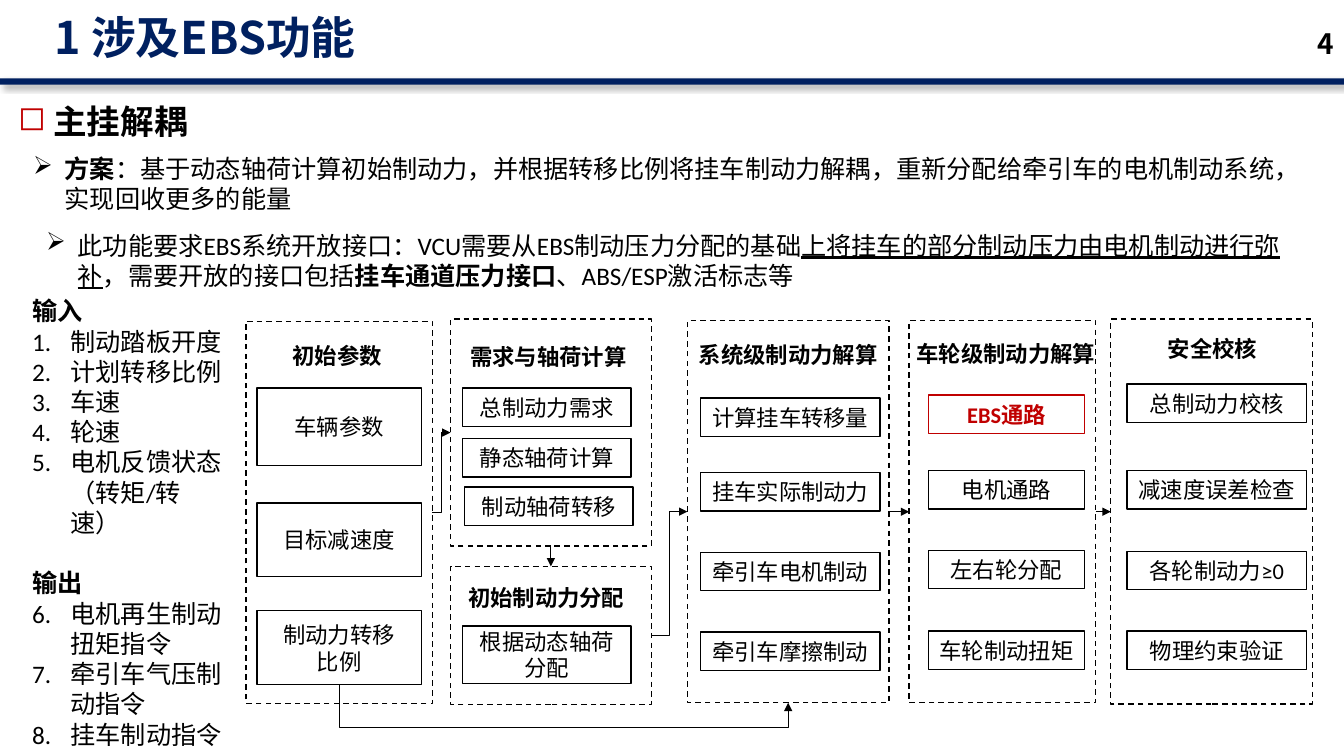
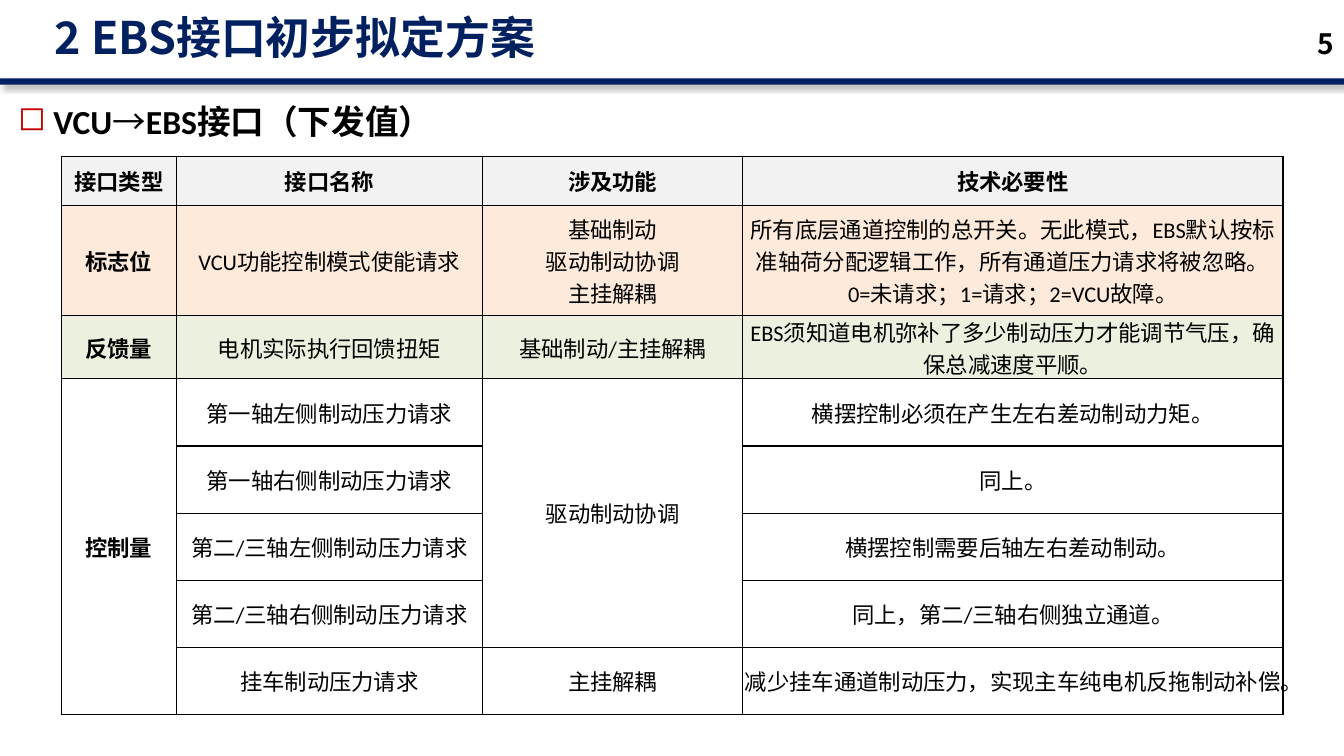
from lxml import etree
from pptx import Presentation
from pptx.dml.color import RGBColor
from pptx.enum.dml import MSO_LINE
from pptx.enum.shapes import MSO_CONNECTOR as CONN, MSO_SHAPE
from pptx.enum.text import MSO_ANCHOR as ANCHOR, MSO_AUTO_SIZE, PP_ALIGN as ALIGN
from pptx.oxml import parse_xml
from pptx.oxml.ns import nsdecls, qn
from pptx.util import Pt

COLORS = {
    "navy": "002060", "black": "000000", "red": "C00000",
    "header": "F2F2F2", "flag": "FDEADA", "feedback": "EBF1DE",
}
BODY, CJK = "Calibri", "Noto Sans CJK SC"
TOP, LEFT, BOTTOM, RIGHT = range(4)


def rgb(name):
    return RGBColor.from_string(COLORS[name])


def add_child(parent, tag, **attrs):
    el = etree.SubElement(parent, qn(tag))
    for key, value in attrs.items():
        el.set(key, str(value))
    return el


def write(p, text, size=16, bold=False, underline=False, color="black", font=BODY, ea=None):
    """Add one formatted run to a paragraph."""
    r = p.add_run()
    r.text = text
    f = r.font
    f.size, f.bold, f.name = Pt(size), bold, font
    f.underline = underline or None
    f.color.rgb = rgb(color)
    add_child(r._r.get_or_add_rPr(), "a:ea", typeface=ea or font)


def fill_text(tf, paragraphs, align=ALIGN.LEFT, spacing=None, bullet=None, **fmt):
    """Write paragraphs, each a string or a list of (text, format) runs."""
    for i, runs in enumerate(paragraphs):
        p = tf.paragraphs[0] if i == 0 else tf.add_paragraph()
        p.alignment = align
        if bullet:
            set_bullet(p, **bullet)
        if spacing:
            p.line_spacing = spacing
        for text, extra in [(runs, {})] if isinstance(runs, str) else runs:
            write(p, text, **{**fmt, **extra})


def set_bullet(p, indent, char=None, start=None, color=None):
    pPr = p._p.get_or_add_pPr()
    pPr.set("marL", str(Pt(indent)))
    pPr.set("indent", str(-Pt(indent)))
    if color:
        add_child(add_child(pPr, "a:buClr"), "a:srgbClr", val=COLORS[color])
    if char:
        add_child(pPr, "a:buChar", char=char)
    else:
        add_child(pPr, "a:buAutoNum", type="arabicPeriod", startAt=start)


class Deck:
    def __init__(self):
        self.prs = Presentation()
        self.prs.slide_width, self.prs.slide_height = Pt(960), Pt(540)

    def new_slide(self, title, number, heading):
        self.s = self.prs.slides.add_slide(self.prs.slide_layouts[5])
        self.shapes = self.s.shapes
        # Title band with its soft shadow
        band = self.rect(0, 56, 960, 4.4)
        band.fill.solid()
        band.fill.fore_color.rgb = rgb("navy")
        band.line.fill.background()
        band._element.spPr.remove(band._element.spPr.find(qn("a:effectLst")))
        band._element.spPr.append(parse_xml(
            f'<a:effectLst {nsdecls("a")}><a:outerShdw blurRad="{Pt(4)}" dist="{Pt(3)}" '
            f'dir="2700000"><a:srgbClr val="{COLORS["black"]}"><a:alpha val="40000"/>'
            '</a:srgbClr></a:outerShdw></a:effectLst>'))
        # Title, slide number and section heading
        sp = self.shapes.title
        sp.left, sp.top, sp.width, sp.height = Pt(31.7), Pt(7.2), Pt(754), Pt(42.5)
        tf = sp.text_frame
        tf.auto_size, tf.vertical_anchor = MSO_AUTO_SIZE.NONE, ANCHOR.MIDDLE
        fill_text(tf, [title], spacing=0.9, size=32, bold=True, color="navy", font=CJK)
        self.text(904.3, 16.6, 55.4, 28.8, [number], anchor=ANCHOR.MIDDLE,
                  align=ALIGN.RIGHT, size=20, bold=True, font=CJK)
        self.text(5.8, 59.8, 388, 41.8, [heading], spacing=1.3, size=24, bold=True,
                  bullet=dict(indent=25.2, char="◻", color="red"))

    def text(self, x, y, w, h, paragraphs, anchor=ANCHOR.TOP, **fmt):
        tf = self.shapes.add_textbox(Pt(x), Pt(y), Pt(w), Pt(h)).text_frame
        tf.word_wrap, tf.vertical_anchor = True, anchor
        fill_text(tf, paragraphs, **fmt)

    def rect(self, x, y, w, h, color="black", dashed=False):
        sp = self.shapes.add_shape(MSO_SHAPE.RECTANGLE, Pt(x), Pt(y), Pt(w), Pt(h))
        sp.shadow.inherit = False
        sp.fill.background()
        sp.line.color.rgb, sp.line.width = rgb(color), Pt(1)
        if dashed:
            sp.line.dash_style = MSO_LINE.DASH
        return sp

    def step(self, x, y, w, h, text, color="black", bold=False):
        sp = self.rect(x, y, w, h, color)
        tf = sp.text_frame
        tf.word_wrap, tf.vertical_anchor = True, ANCHOR.MIDDLE
        fill_text(tf, text.split("\n"), align=ALIGN.CENTER, color=color, bold=bold)
        return sp

    def panel(self, box, title, title_center):
        sp = self.rect(*box, dashed=True)
        cx, cy = title_center
        self.text(cx - 83.5, cy - 17.5, 167, 35, [title], anchor=ANCHOR.MIDDLE,
                  align=ALIGN.CENTER, bold=True)
        return sp

    def arrow(self, a, side_a, b, side_b, kind=CONN.STRAIGHT):
        c = self.shapes.add_connector(kind, 0, 0, 0, 0)
        c.begin_connect(a, side_a)
        c.end_connect(b, side_b)
        c.line.color.rgb, c.line.width = rgb("black"), Pt(0.75)
        add_child(c.line._get_or_add_ln(), "a:tailEnd", type="triangle")
        add_child(c._element.spPr, "a:effectLst")
        return c

    def arrow_below(self, a, b, drop):
        """Elbow from the bottom of a, down by drop, and up into the bottom of b."""
        c = self.arrow(a, BOTTOM, b, BOTTOM, CONN.ELBOW)
        w, h = c.width, c.height
        c.left, c.top = c.left + (w - h) // 2, c.top + (h - w) // 2
        c.width, c.height, c.rotation = h, w, 270
        spPr = c._element.spPr
        spPr.find(qn("a:xfrm")).set("flipH", "1")
        geom = spPr.find(qn("a:prstGeom"))
        guides = geom.find(qn("a:avLst"))
        if guides is None:
            guides = add_child(geom, "a:avLst")
        add_child(guides, "a:gd", name="adj1", fmla=f"val {round(Pt(drop) / h * 100000)}")

    def table(self, x, y, widths, heights, rows, fills, merges):
        t = self.shapes.add_table(len(heights), len(widths), Pt(x), Pt(y),
                                  Pt(sum(widths)), Pt(sum(heights))).table
        t.first_row = t.horz_banding = False
        for col, w in zip(t.columns, widths):
            col.width = Pt(w)
        for row, h in zip(t.rows, heights):
            row.height = Pt(h)
        for i, row in enumerate(rows):
            for j, text in enumerate(row):
                self.cell(t.cell(i, j), text, fills.get(i), bold=i == 0 or j == 0)
        for (top, bottom), j in merges:
            t.cell(top, j).merge(t.cell(bottom, j))

    def cell(self, cell, text, fill, bold):
        cell.margin_left = cell.margin_right = cell.margin_top = cell.margin_bottom = 0
        cell.vertical_anchor = ANCHOR.MIDDLE
        tcPr = cell._tc.get_or_add_tcPr()
        for side in "LRTB":
            ln = add_child(tcPr, f"a:ln{side}", w=Pt(1))
            add_child(add_child(ln, "a:solidFill"), "a:srgbClr", val=COLORS["black"])
        if fill:
            cell.fill.solid()
            cell.fill.fore_color.rgb = rgb(fill)
        else:
            cell.fill.background()
        if text:
            fill_text(cell.text_frame, text.split("\n"), align=ALIGN.CENTER, bold=bold, ea=CJK)


def decoupling_slide(d):
    d.new_slide("1 涉及EBS功能", "4", "主挂解耦")
    bold = dict(bold=True)

    # Scheme and interface requirement
    point = dict(size=18, bullet=dict(indent=22.5, char="➢"))
    d.text(16.6, 105.8, 906.5, 51, [[
        ("方案", bold),
        ("：基于动态轴荷计算初始制动力，并根据转移比例将挂车制动力解耦，"
         "重新分配给牵引车的电机制动系统，实现回收更多的能量", {})]], **point)
    d.text(25.9, 160.6, 906.5, 51, [[
        ("此功能要求EBS系统开放接口：VCU需要从EBS制动压力分配的基础", {}),
        ("上将挂车的部分制动压力由电机制动进行弥补", dict(underline=True)),
        ("，需要开放的接口包括", {}),
        ("挂车通道压力接口", bold),
        ("、ABS/ESP激活标志等", {})]], **point)

    # Numbered inputs and outputs
    for y, title, start, items in [
        (207.4, "输入", 1, ["制动踏板开度", "计划转移比例", "车速", "轮速",
                          "电机反馈状态（转矩/转速）"]),
        (401.8, "输出", 6, ["电机再生制动扭矩指令", "牵引车气压制动指令", "挂车制动指令"]),
    ]:
        d.text(15.8, y, 149.8, 29, [title], size=18, bold=True)
        d.text(15.8, y + 21.8, 149.8, 22 * len(items) + 7, items, size=18,
               bullet=dict(indent=27.4, start=start))

    # Dashed panels: box, title, title centre
    initial, demand, share, system, wheel, safety = [d.panel(*args) for args in [
        ((175.7, 229.5, 133.2, 273), "初始参数", (240.8, 254)),
        ((321.8, 228, 143.4, 162), "需求与轴荷计算", (391.7, 255)),
        ((321.8, 404.6, 143.4, 98.6), "初始制动力分配", (390.2, 427)),
        ((491, 229, 144, 273), "系统级制动力解算", (563, 253.5)),
        ((649.4, 229, 133.2, 273), "车轮级制动力解算", (718.6, 252.7)),
        ((793.4, 228, 144, 275), "安全校核", (866.2, 249)),
    ]]

    # Steps inside the panels: left, width, height, then (top, text)
    for x, w, h, steps in [
        (183.6, 117.4, 55.4, [(277.2, "车辆参数")]),
        (183.6, 117.4, 52.6, [(359.3, "目标减速度")]),
        (330.5, 120.2, 27.4, [(277.2, "总制动力需求"), (313.2, "静态轴荷计算")]),
        (332, 120.2, 27.4, [(347.8, "制动轴荷转移")]),
        (330.5, 120.2, 41, [(447.1, "根据动态轴荷分配")]),
        (500.4, 128.2, 27.4, [(284.4, "计算挂车转移量"), (337.7, "挂车实际制动力"),
                              (394.6, "牵引车电机制动"), (451.4, "牵引车摩擦制动")]),
        (663.1, 111.6, 27.4, [(336.2, "电机通路"), (393.1, "左右轮分配"),
                              (450.7, "车轮制动扭矩")]),
        (805, 128.2, 27.4, [(274.3, "总制动力校核"), (336.2, "减速度误差检查"),
                            (393.8, "各轮制动力≥0"), (450.7, "物理约束验证")]),
    ]:
        for y, text in steps:
            d.step(x, y, w, h, text)
    d.step(663.1, 282.2, 111.6, 27.4, "EBS通路", color="red", bold=True)
    ratio = d.step(183.6, 436.3, 117.4, 52.6, "制动力转移\n比例")

    # Flow between the panels
    d.arrow(initial, RIGHT, demand, LEFT, CONN.ELBOW)
    d.arrow(demand, BOTTOM, share, TOP)
    d.arrow(share, RIGHT, system, LEFT, CONN.ELBOW)
    d.arrow(system, RIGHT, wheel, LEFT)
    d.arrow(wheel, RIGHT, safety, LEFT)
    d.arrow_below(ratio, system, 31)


def interface_slide(d):
    d.new_slide("2 EBS接口初步拟定方案", "5", [
        ("VCU", {}), ("→", dict(font=CJK, bold=False)), ("EBS接口（下发值）", {})])
    rows = [
        ["接口类型", "接口名称", "涉及功能", "技术必要性"],
        ["标志位", "VCU功能控制模式使能请求", "基础制动\n驱动制动协调\n主挂解耦",
         "所有底层通道控制的总开关。无此模式，EBS默认按标准轴荷分配逻辑工作，"
         "所有通道压力请求将被忽略。\n0=未请求；1=请求；2=VCU故障。"],
        ["反馈量", "电机实际执行回馈扭矩", "基础制动/主挂解耦",
         "EBS须知道电机弥补了多少制动压力才能调节气压，确保总减速度平顺。"],
        ["控制量", "第一轴左侧制动压力请求", "驱动制动协调", "横摆控制必须在产生左右差动制动力矩。"],
        ["", "第一轴右侧制动压力请求", "", "同上。"],
        ["", "第二/三轴左侧制动压力请求", "", "横摆控制需要后轴左右差动制动。"],
        ["", "第二/三轴右侧制动压力请求", "", "同上，第二/三轴右侧独立通道。"],
        ["", "挂车制动压力请求", "主挂解耦", "减少挂车通道制动压力，实现主车纯电机反拖制动补偿。"],
    ]
    d.table(43.9, 112, [82, 218.9, 185.8, 385.9], [34.8, 78.8, 45] + [48] * 5, rows,
            fills={0: "header", 1: "flag", 2: "feedback"},
            merges=[((3, 7), 0), ((3, 6), 2)])


def main():
    d = Deck()
    decoupling_slide(d)
    interface_slide(d)
    d.prs.save("out.pptx")


if __name__ == "__main__":
    main()
